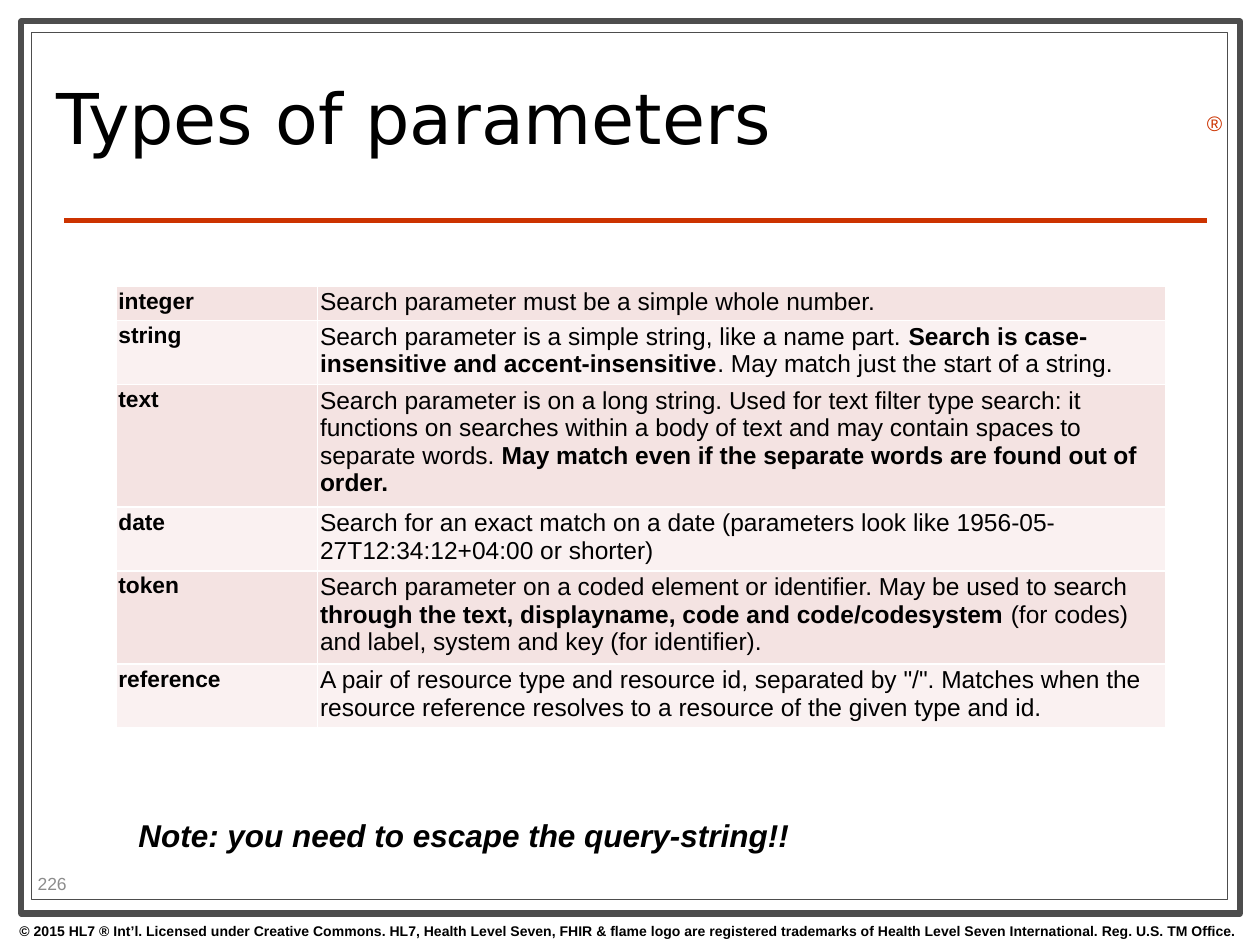
from dataclasses import dataclass

import lxml.etree
import pptx
import pptx.dml.color
import pptx.enum.shapes
import pptx.enum.text
import pptx.oxml
import pptx.oxml.ns
import pptx.util

Inches = pptx.util.Inches
Pt = pptx.util.Pt
RGB = pptx.dml.color.RGBColor.from_string
qn = pptx.oxml.ns.qn
Align = pptx.enum.text.PP_ALIGN
Anchor = pptx.enum.text.MSO_ANCHOR


@dataclass(frozen=True)
class Theme:
    body: str = "Arial"
    heading: str = "DejaVu Sans"
    text: str = "000000"
    paper: str = "FFFFFF"
    frame: str = "4D4D4D"
    accent: str = "CC3300"
    muted: str = "8C8C8C"
    bands: tuple[str, str] = ("F4E3E2", "FAF1F1")
    title_size: int = 40
    note_size: int = 18
    cell_size: int = 14
    name_size: int = 13
    mark_size: int = 12
    number_size: int = 10
    legal_size: int = 8


T = Theme()


@dataclass(frozen=True)
class Frame:
    box: tuple[float, float, float, float]
    weight: float


@dataclass(frozen=True)
class Label:
    text: str
    box: tuple[float, float, float, float]
    size: int
    color: str = T.text
    font: str = T.body
    bold: bool = False
    italic: bool = False
    align: Align = Align.LEFT
    anchor: Anchor = Anchor.TOP
    wrap: bool = True
    spacing: float = 1.0


@dataclass(frozen=True)
class Parameter:
    name: str
    lines: int
    before: str
    strong: str = ""
    after: str = ""


FRAMES = [
    Frame((0.17, 0.17, 9.67, 7.08), 3.5),
    Frame((0.25, 0.26, 9.49, 6.88), 0.75),
]

LABELS = [
    Label("© 2015 HL7 ® Int’l. Licensed under Creative Commons. HL7, Health Level Seven, "
          "FHIR & flame logo are registered trademarks of Health Level Seven International. "
          "Reg. U.S. TM Office.",
          (-0.01, 7.27, 10, 0.23), T.legal_size, bold=True, align=Align.CENTER),
    Label("®", (9.48, 0.83, 0.31, 0.3), T.mark_size, T.accent, wrap=False),
    Label("Types of parameters", (0.35, 0.36, 7.17, 1.26), T.title_size,
          font=T.heading, anchor=Anchor.MIDDLE, spacing=0.8),
    Label("226", (0.2, 6.89, 0.79, 0.24), T.number_size, T.muted, anchor=Anchor.MIDDLE),
    Label("Note: you need to escape the query-string!!", (1, 6.43, 5.42, 0.4),
          T.note_size, bold=True, italic=True, wrap=False),
]

PARAMETERS = [
    Parameter("integer", 1, "Search parameter must be a simple whole number."),
    Parameter("string", 2, "Search parameter is a simple string, like a name part. ",
              "Search is case-insensitive and accent-insensitive",
              ". May match just the start of a string."),
    Parameter("text", 4, "Search parameter is on a long string. Used for text filter type "
              "search: it functions on searches within a body of text and may contain "
              "spaces to separate words. ",
              "May match even if the separate words are found out of order."),
    Parameter("date", 2, "Search for an exact match on a date (parameters look like "
              "1956-05-27T12:34:12+04:00 or shorter)"),
    Parameter("token", 3, "Search parameter on a coded element or identifier. "
              "May be used to search ",
              "through the text, displayname, code and code/codesystem",
              " (for codes) and label, system and key (for identifier)."),
    Parameter("reference", 2, "A pair of resource type and resource id, separated by \"/\". "
              "Matches when the resource reference resolves to a resource of the given "
              "type and id."),
]


def add_frame(slide: pptx.slide.Slide, frame: Frame) -> None:
    sp = slide.shapes.add_shape(pptx.enum.shapes.MSO_SHAPE.RECTANGLE, *map(Inches, frame.box))
    sp.shadow.inherit = False
    sp.fill.solid()
    sp.fill.fore_color.rgb = RGB(T.paper)
    sp.line.color.rgb = RGB(T.frame)
    sp.line.width = Pt(frame.weight)


def add_rule(slide: pptx.slide.Slide) -> None:
    line = slide.shapes.add_connector(
        pptx.enum.shapes.MSO_CONNECTOR.STRAIGHT,
        Inches(0.51), Inches(1.75), Inches(9.58), Inches(1.75))
    line.line.color.rgb = RGB(T.accent)
    line.line.width = Pt(3)
    lxml.etree.SubElement(line._element.spPr, qn("a:effectLst"))


def set_font(font: pptx.text.text.Font, size: int, color: str = T.text, name: str = T.body) -> None:
    font.size = Pt(size)
    font.name = name
    font.color.rgb = RGB(color)


def add_label(slide: pptx.slide.Slide, label: Label) -> None:
    tf = slide.shapes.add_textbox(*map(Inches, label.box)).text_frame
    tf.word_wrap = label.wrap
    tf.vertical_anchor = label.anchor
    p = tf.paragraphs[0]
    p.text = label.text
    p.alignment = label.align
    p.line_spacing = label.spacing
    set_font(p.font, label.size, label.color, label.font)
    p.font.bold = label.bold
    p.font.italic = label.italic


def style_cell(cell: pptx.table._Cell, fill: str) -> None:
    cell.margin_left = cell.margin_right = Inches(0.02)
    cell.margin_top = cell.margin_bottom = Inches(0.02)
    cell.fill.solid()
    cell.fill.fore_color.rgb = RGB(fill)
    tcPr = cell._tc.get_or_add_tcPr()
    for i, side in enumerate(("lnL", "lnR", "lnT", "lnB")):
        ln = lxml.etree.Element(qn(f"a:{side}"), w=str(Pt(1)))
        solid = lxml.etree.SubElement(ln, qn("a:solidFill"))
        lxml.etree.SubElement(solid, qn("a:srgbClr"), val=T.paper)
        tcPr.insert(i, ln)


def add_parameters(slide: pptx.slide.Slide, parameters: list[Parameter]) -> None:
    heights = [0.03 + 0.22 * param.lines for param in parameters]
    table = slide.shapes.add_table(
        len(parameters), 2, Inches(0.92), Inches(2.27), Inches(8.33), Inches(sum(heights))).table
    table.first_row = table.horz_banding = False
    table.columns[0].width = Inches(1.6)
    table.columns[1].width = Inches(6.73)
    for i, param in enumerate(parameters):
        table.rows[i].height = Inches(heights[i])
        name, description = table.cell(i, 0), table.cell(i, 1)
        for cell in (name, description):
            style_cell(cell, T.bands[i % 2])
        p = name.text_frame.paragraphs[0]
        p.text = param.name
        set_font(p.font, T.name_size)
        p.font.bold = True
        p = description.text_frame.paragraphs[0]
        set_font(p.font, T.cell_size)
        for text, bold in ((param.before, False), (param.strong, True), (param.after, False)):
            if text:
                r = p.add_run()
                r.text = text
                r.font.bold = bold


def main() -> None:
    prs = pptx.Presentation()
    prs.slide_width, prs.slide_height = Inches(10), Inches(7.5)
    slide = prs.slides.add_slide(prs.slide_layouts[6])
    for frame in FRAMES:
        add_frame(slide, frame)
    add_rule(slide)
    for label in LABELS:
        add_label(slide, label)
    add_parameters(slide, PARAMETERS)
    prs.save("out.pptx")


if __name__ == "__main__":
    main()
